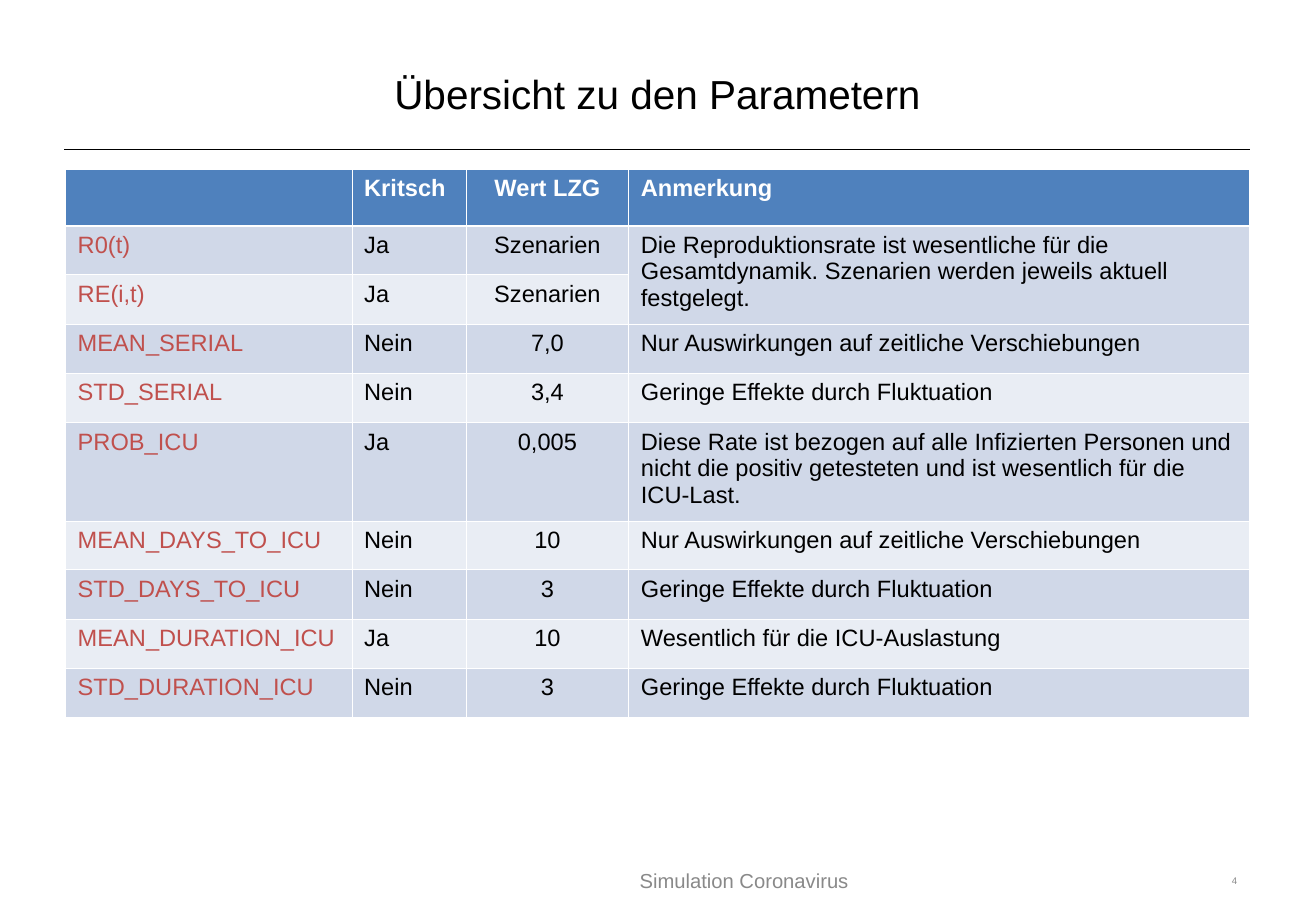
from lxml.etree import SubElement
from pptx import Presentation
from pptx.dml.color import RGBColor
from pptx.enum.shapes import MSO_CONNECTOR
from pptx.enum.text import MSO_ANCHOR, PP_ALIGN
from pptx.oxml.ns import qn
from pptx.util import Emu, Pt

SCALE = 9144  # EMU per px, 100 px to the inch

BLACK = RGBColor(0x00, 0x00, 0x00)
WHITE = RGBColor(0xFF, 0xFF, 0xFF)
GRAY = RGBColor(0x89, 0x89, 0x89)
RED = RGBColor(0xC0, 0x50, 0x4D)
BLUE = RGBColor(0x4F, 0x81, 0xBD)
BAND_DARK = RGBColor(0xD0, 0xD8, 0xE8)
BAND_LIGHT = RGBColor(0xE9, 0xED, 0xF4)

FONT = "Arial"
THIN, THICK = 0.45, 1.47  # cell borders in points

HEADER = ["", "Kritsch", "Wert LZG", "Anmerkung"]
SHIFT = "Nur Auswirkungen auf zeitliche Verschiebungen"
SMALL = "Geringe Effekte durch Fluktuation"
PARAMETERS = [
    ["R0(t)", "Ja", "Szenarien",
     "Die Reproduktionsrate ist wesentliche für die Gesamtdynamik. "
     "Szenarien werden jeweils aktuell festgelegt."],
    ["RE(i,t)", "Ja", "Szenarien", ""],
    ["MEAN_SERIAL", "Nein", "7,0", SHIFT],
    ["STD_SERIAL", "Nein", "3,4", SMALL],
    ["PROB_ICU", "Ja", "0,005",
     "Diese Rate ist bezogen auf alle Infizierten Personen und nicht die "
     "positiv getesteten und ist wesentlich für die ICU-Last."],
    ["MEAN_DAYS_TO_ICU", "Nein", "10", SHIFT],
    ["STD_DAYS_TO_ICU", "Nein", "3", SMALL],
    ["MEAN_DURATION_ICU", "Ja", "10", "Wesentlich für die ICU-Auslastung"],
    ["STD_DURATION_ICU", "Nein", "3", SMALL],
]
COL_WIDTHS = [236, 94, 134, 511]
ROW_HEIGHTS = [47, 40, 41, 40, 41, 81, 40, 41, 40, 41]
VALUE_COL = 2


def px(n):
    return Emu(n * SCALE)


def write(tf, text, size=14, color=BLACK, bold=False, align=PP_ALIGN.LEFT):
    p = tf.paragraphs[0]
    p.alignment = align
    r = p.add_run()
    r.text = text
    r.font.name = FONT
    r.font.size = Pt(size)
    r.font.bold = bold
    r.font.color.rgb = color


def add_text(s, x, y, w, h, text, **fmt):
    tf = s.shapes.add_textbox(px(x), px(y), px(w), px(h)).text_frame
    tf.word_wrap = True
    tf.vertical_anchor = MSO_ANCHOR.MIDDLE
    write(tf, text, **fmt)


def add_rule(s, x1, x2, y):
    line = s.shapes.add_connector(MSO_CONNECTOR.STRAIGHT, px(x1), px(y), px(x2), px(y))
    line.line.color.rgb = BLACK
    line.line.width = Pt(1)
    SubElement(line._element.spPr, qn("a:effectLst"))


def set_borders(cell, **widths):
    tc_pr = cell._tc.get_or_add_tcPr()
    for side in "LRTB":
        ln = SubElement(tc_pr, qn(f"a:ln{side}"), w=str(Pt(widths.get(side, THIN))))
        fill = SubElement(ln, qn("a:solidFill"))
        SubElement(fill, qn("a:srgbClr"), val=str(WHITE))


def fill_cell(cell, row, col, text):
    # Borders come before the fill in the cell properties
    if row == 0:
        set_borders(cell, B=THICK)
        background, color = BLUE, WHITE
    else:
        set_borders(cell, T=THICK if row == 1 else THIN)
        background = BAND_DARK if row % 2 else BAND_LIGHT
        color = RED if col == 0 else BLACK
    cell.fill.solid()
    cell.fill.fore_color.rgb = background
    if text:
        align = PP_ALIGN.CENTER if col == VALUE_COL else PP_ALIGN.LEFT
        write(cell.text_frame, text, color=color, bold=row == 0, align=align)


def add_parameter_table(s, x, y):
    rows = [HEADER] + PARAMETERS
    table = s.shapes.add_table(
        len(rows), len(HEADER), px(x), px(y),
        px(sum(COL_WIDTHS)), px(sum(ROW_HEIGHTS))).table
    table.first_row = False
    table.horz_banding = False
    for column, width in zip(table.columns, COL_WIDTHS):
        column.width = px(width)
    for row, height in zip(table.rows, ROW_HEIGHTS):
        row.height = px(height)
    for i, texts in enumerate(rows):
        for j, text in enumerate(texts):
            fill_cell(table.cell(i, j), i, j, text)
    # R0(t) and RE(i,t) share one remark
    table.cell(1, 3).merge(table.cell(2, 3))


def main():
    prs = Presentation()
    prs.slide_width, prs.slide_height = px(1084), px(750)
    s = prs.slides.add_slide(prs.slide_layouts[6])

    # Title with rule
    add_rule(s, 53, 1030, 123)
    add_text(s, 54, 30, 975, 93, "Übersicht zu den Parametern",
             size=24, align=PP_ALIGN.CENTER)

    # Parameter table
    add_parameter_table(s, 54, 139)

    # Footer and slide number
    add_text(s, 290, 714, 646, 22, "Simulation Coronavirus",
             size=12, color=GRAY, align=PP_ALIGN.CENTER)
    add_text(s, 951, 714, 78, 22, "4", size=5.7, color=GRAY, align=PP_ALIGN.RIGHT)

    prs.save("out.pptx")


if __name__ == "__main__":
    main()
